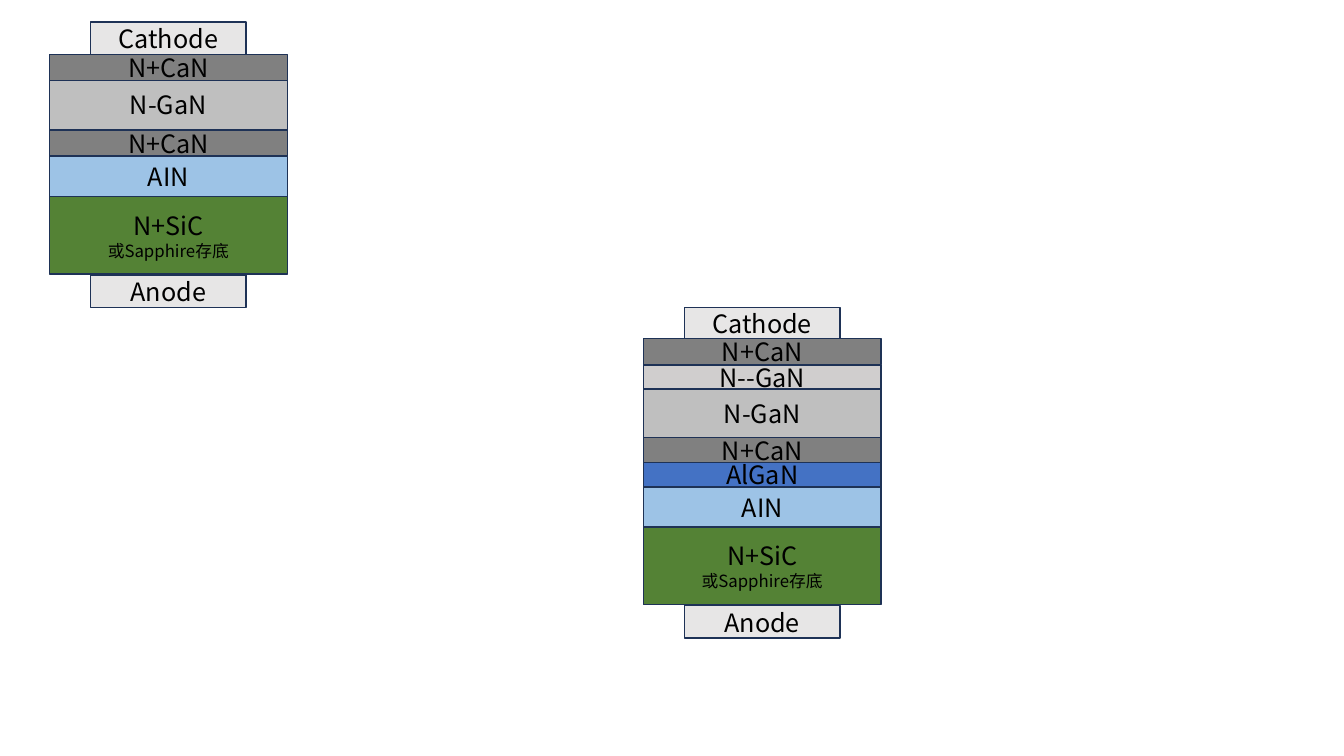
from dataclasses import dataclass

import pptx
import pptx.dml.color
import pptx.enum.shapes
import pptx.enum.text
import pptx.oxml.ns
import pptx.util
from lxml import etree

PX = 9144
FONT = "Noto Sans CJK SC"
OUTLINE = "1E3256"
BODY_WIDTH = 236
CONTACT_WIDTH = 154


@dataclass(frozen=True)
class Layer:
    label: str
    height: int
    fill: str
    width: int = BODY_WIDTH
    note: str = ""


@dataclass(frozen=True)
class Stack:
    left: int
    layers: list[tuple[Layer, int]]


CATHODE = Layer("Cathode", 32, "E7E6E6", CONTACT_WIDTH)
ANODE = Layer("Anode", 32, "E7E6E6", CONTACT_WIDTH)
N_PLUS = Layer("N+CaN", 26, "808080")
N_MINUS = Layer("N-GaN", 51, "BFBFBF")
N_MINUS_MINUS = Layer("N--GaN", 24, "D0CECE")
ALGAN = Layer("AlGaN", 24, "4472C4")
AIN = Layer("AIN", 40, "9DC3E6")
SUBSTRATE = Layer("N+SiC", 77, "548235", note="或Sapphire存底")

STACKS = [
    Stack(49, [(CATHODE, 22), (N_MINUS, 78), (N_PLUS, 129), (N_PLUS, 54),
               (AIN, 155), (SUBSTRATE, 195), (ANODE, 273)]),
    Stack(638, [(CATHODE, 305), (N_MINUS, 385), (N_PLUS, 434), (N_PLUS, 336),
                (AIN, 483), (SUBSTRATE, 523), (ANODE, 601),
                (ALGAN, 459), (N_MINUS_MINUS, 362)]),
]


def px(value: int) -> pptx.util.Emu:
    return pptx.util.Emu(value * PX)


def color(value: str) -> pptx.dml.color.RGBColor:
    return pptx.dml.color.RGBColor.from_string(value)


def add_text(p, text: str, *, size: int = 18, fill: str = "000000") -> None:
    p.alignment = pptx.enum.text.PP_ALIGN.CENTER
    r = p.add_run()
    r.text = text
    r.font.size = pptx.util.Pt(size)
    r.font.name = FONT
    r.font.color.rgb = color(fill)
    ea = etree.SubElement(r.font._element, pptx.oxml.ns.qn("a:ea"))
    ea.set("typeface", FONT)


def add_layer(s, layer: Layer, stack_left: int, top: int) -> None:
    left = stack_left + (BODY_WIDTH - layer.width) // 2
    sp = s.shapes.add_shape(
        pptx.enum.shapes.MSO_SHAPE.RECTANGLE,
        px(left), px(top), px(layer.width), px(layer.height))
    sp.shadow.inherit = False
    sp.fill.solid()
    sp.fill.fore_color.rgb = color(layer.fill)
    sp.line.color.rgb = color(OUTLINE)
    sp.line.width = pptx.util.Pt(1)
    tf = sp.text_frame
    tf.word_wrap = True
    tf.vertical_anchor = pptx.enum.text.MSO_ANCHOR.MIDDLE
    add_text(tf.paragraphs[0], layer.label)
    if layer.note:
        add_text(tf.add_paragraph(), layer.note, size=12)


def main() -> None:
    prs = pptx.Presentation()
    prs.slide_width = px(1333)
    prs.slide_height = px(750)
    s = prs.slides.add_slide(prs.slide_layouts[6])
    for stack in STACKS:
        for layer, top in stack.layers:
            add_layer(s, layer, stack.left, top)
    prs.save("out.pptx")


if __name__ == "__main__":
    main()
